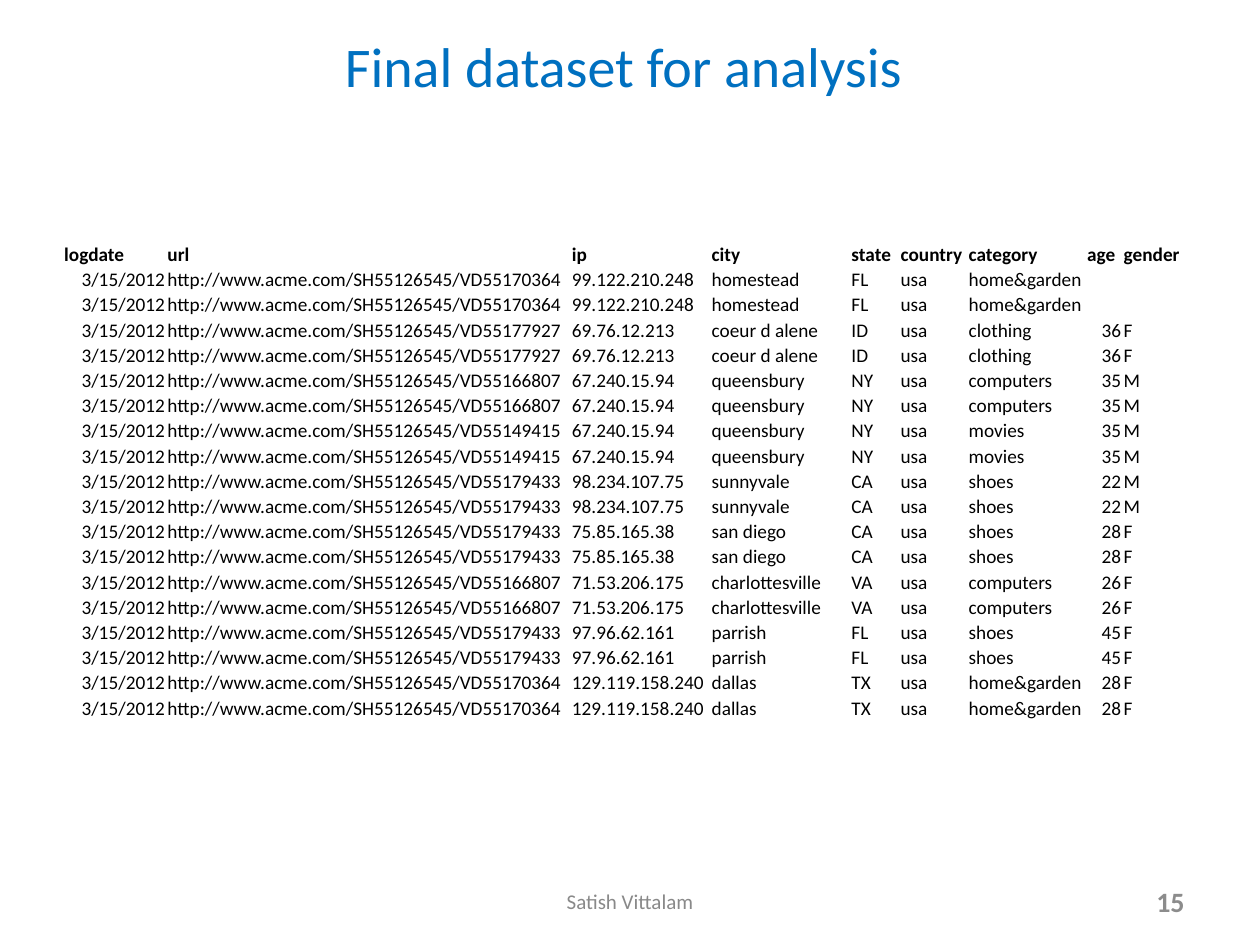
from lxml import etree
from pptx import Presentation
from pptx.dml.color import RGBColor
from pptx.enum import text as t
from pptx.oxml.ns import qn
from pptx.util import Pt

FONT = "Calibri"
HEADERS = ["logdate", "url", "ip", "city", "state", "country", "category", "age", "gender"]
COLUMN_WIDTHS = [59, 231.1, 79.9, 79.9, 28.1, 38.9, 67.7, 20.9, 35.3]
NUMERIC_COLUMNS = {"logdate", "age"}
LOG_DATE = "3/15/2012"
COUNTRY = "usa"
URL_START = "http://www.acme.com/SH55126545/"

# Page, ip, city, state, category, age, gender; every visit was logged twice
VISITS = [
    ("VD55170364", "99.122.210.248", "homestead", "FL", "home&garden", "", ""),
    ("VD55177927", "69.76.12.213", "coeur d alene", "ID", "clothing", "36", "F"),
    ("VD55166807", "67.240.15.94", "queensbury", "NY", "computers", "35", "M"),
    ("VD55149415", "67.240.15.94", "queensbury", "NY", "movies", "35", "M"),
    ("VD55179433", "98.234.107.75", "sunnyvale", "CA", "shoes", "22", "M"),
    ("VD55179433", "75.85.165.38", "san diego", "CA", "shoes", "28", "F"),
    ("VD55166807", "71.53.206.175", "charlottesville", "VA", "computers", "26", "F"),
    ("VD55179433", "97.96.62.161", "parrish", "FL", "shoes", "45", "F"),
    ("VD55170364", "129.119.158.240", "dallas", "TX", "home&garden", "28", "F"),
]


def color(hex_string):
    return RGBColor.from_string(hex_string)


def write(paragraph, content, size, hex_color, align, bold=False):
    paragraph.alignment = align
    paragraph.text = content
    for run in paragraph.runs:
        run.font.name = FONT
        run.font.size = Pt(size)
        run.font.bold = bold
        run.font.color.rgb = color(hex_color)


def add_line(slide, box, content, size, hex_color, align, bold=False):
    """Place one line of text, centred vertically in its box."""
    frame = slide.shapes.add_textbox(*map(Pt, box)).text_frame
    frame.word_wrap = True
    frame.vertical_anchor = t.MSO_ANCHOR.MIDDLE
    write(frame.paragraphs[0], content, size, hex_color, align, bold)


def dataset_rows():
    rows = [HEADERS]
    for page, ip, city, state, category, age, gender in VISITS:
        visit = [LOG_DATE, URL_START + page, ip, city, state, COUNTRY, category, age, gender]
        rows += [visit, visit]
    return rows


def fill_cell(cell, content, size, align, bold):
    cell.fill.background()
    cell.vertical_anchor = t.MSO_ANCHOR.BOTTOM
    cell.margin_left = cell.margin_right = cell.margin_top = Pt(0.72)
    cell.margin_bottom = Pt(0)
    paragraph = cell.text_frame.paragraphs[0]
    write(paragraph, content, size, "000000", align, bold)
    if not content:  # keeps an empty cell from stretching its row
        etree.SubElement(paragraph._p, qn("a:endParaRPr"), sz=str(size * 100))


def add_dataset(slide, box):
    rows = dataset_rows()
    table = slide.shapes.add_table(len(rows), len(HEADERS), *map(Pt, box)).table
    table.first_row = table.horz_banding = False
    for column, width in zip(table.columns, COLUMN_WIDTHS):
        column.width = Pt(width)
    for r, row in enumerate(rows):
        table.rows[r].height = Pt(box[3] / len(rows))
        for c, content in enumerate(row):
            is_header = r == 0
            to_right = HEADERS[c] in NUMERIC_COLUMNS and not is_header
            align = t.PP_ALIGN.RIGHT if to_right else t.PP_ALIGN.LEFT
            fill_cell(table.cell(r, c), content, 11, align, is_header)


def add_footer(slide, box):
    left, top, width, height = box
    author_width, number_width = 228, 168
    author_left = left + (width - author_width) / 2
    number_left = left + width - number_width
    add_line(slide, (author_left, top, author_width, height),
             "Satish Vittalam", 12, "898989", t.PP_ALIGN.CENTER)
    add_line(slide, (number_left, top, number_width, height),
             "15", 16, "8C8C8C", t.PP_ALIGN.RIGHT, bold=True)


def main():
    deck = Presentation()
    deck.slide_width, deck.slide_height = Pt(720), Pt(540)
    slide = deck.slides.add_slide(deck.slide_layouts[6])
    add_line(slide, (36, 9.4, 648, 56), "Final dataset for analysis ",
             32, "0070C0", t.PP_ALIGN.CENTER)
    add_footer(slide, (36, 500.5, 648, 28.8))
    add_dataset(slide, (36, 138, sum(COLUMN_WIDTHS), 273.6))
    deck.save("out.pptx")


if __name__ == "__main__":
    main()
